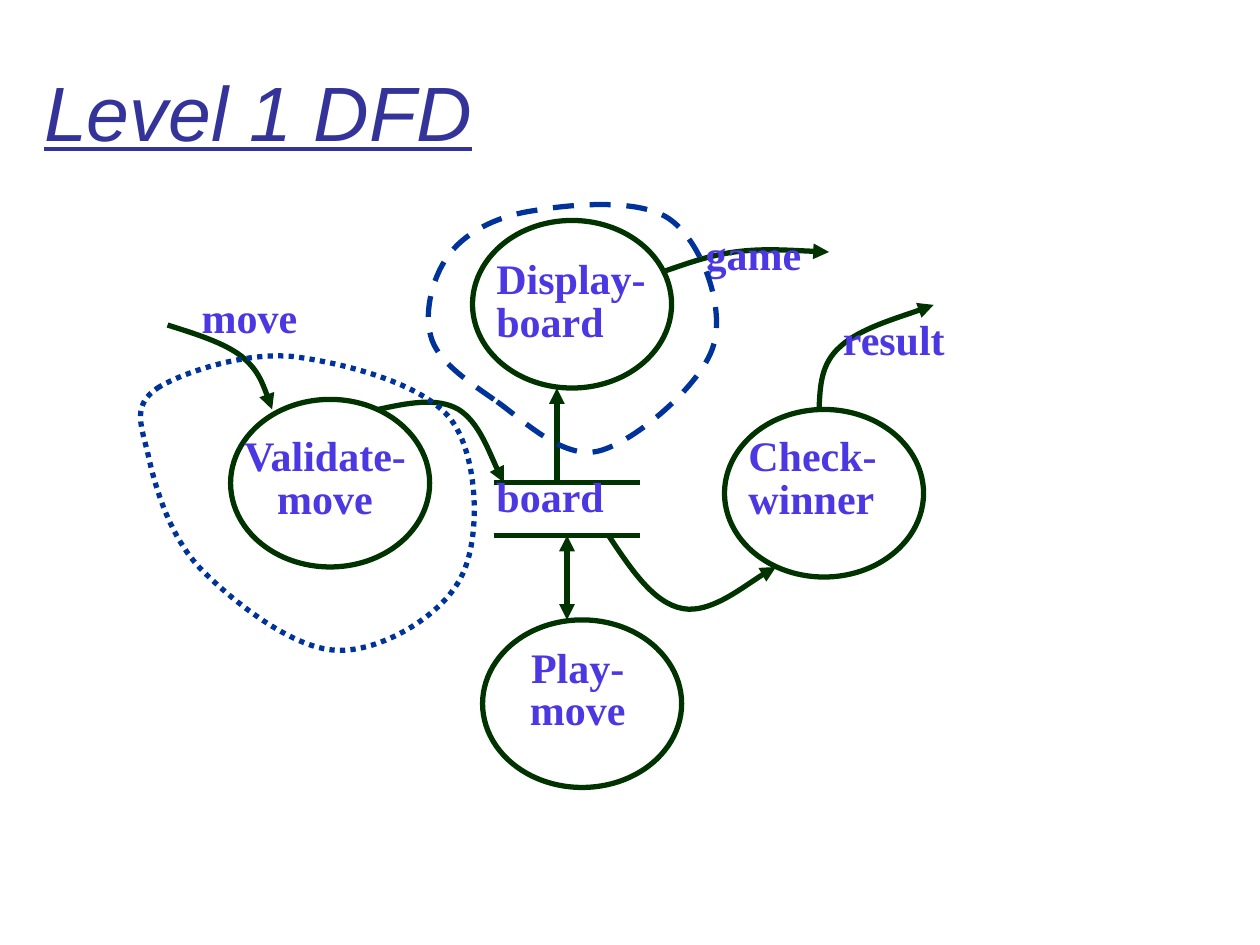
from dataclasses import dataclass

from lxml.etree import SubElement
from pptx import Presentation
from pptx.dml.color import RGBColor
from pptx.enum.dml import MSO_LINE
from pptx.enum.shapes import MSO_CONNECTOR, MSO_SHAPE
from pptx.enum.text import MSO_ANCHOR, MSO_AUTO_SIZE, PP_ALIGN
from pptx.oxml.ns import qn
from pptx.util import Inches, Pt


@dataclass(frozen=True)
class Theme:
    title: RGBColor = RGBColor(0x33, 0x33, 0x99)
    label: RGBColor = RGBColor(0x4C, 0x38, 0xE2)
    flow: RGBColor = RGBColor(0x00, 0x33, 0x00)
    boundary: RGBColor = RGBColor(0x00, 0x33, 0x99)
    title_font: str = "Arial"
    label_font: str = "Times New Roman"
    title_size: Pt = Pt(44)
    label_size: Pt = Pt(24)
    line_width: Pt = Pt(3)


theme = Theme()


def style_line(sp, color, dash=None, ends=()):
    """Set the outline of a shape, with triangles at the named ends and no shadow."""
    sp.line.color.rgb = color
    sp.line.width = theme.line_width
    if dash:
        sp.line.dash_style = dash
    ln = sp.line._get_or_add_ln()
    for end in ends:
        SubElement(ln, qn(f"a:{end}"), type="triangle", w="med", len="med")
    SubElement(sp._element.spPr, qn("a:effectLst"))


def add_curve(s, points, close=False):
    """Add a Bezier path: a start point, then three points for each segment."""
    pts = [(Inches(x), Inches(y)) for x, y in points]
    builder = s.shapes.build_freeform(*pts[0], scale=1.0)
    builder.add_line_segments(pts[1:], close=close)
    sp = builder.convert_to_shape()
    sp.fill.background()
    # Turn each run of three straight segments into one cubic segment.
    segments = list(sp._element.iter(qn("a:lnTo")))[:len(pts) - 1]
    for i in range(0, len(segments), 3):
        cubic = segments[i].makeelement(qn("a:cubicBezTo"))
        segments[i].addprevious(cubic)
        for segment in segments[i:i + 3]:
            cubic.append(segment[0])
            segment.getparent().remove(segment)
    return sp


prs = Presentation()
prs.slide_width, prs.slide_height = Inches(10), Inches(7.5)
s = prs.slides.add_slide(prs.slide_layouts[5])

# Title
title = s.shapes.title
title.left, title.top = Inches(0.33), Inches(0.25)
title.width, title.height = Inches(9), Inches(1.25)
tf = title.text_frame
tf.auto_size = MSO_AUTO_SIZE.NONE
tf.vertical_anchor = MSO_ANCHOR.MIDDLE
tf.margin_left = tf.margin_right = Inches(0.02)
p = tf.paragraphs[0]
p.alignment = PP_ALIGN.LEFT
r = p.add_run()
r.text = "Level 1 DFD"
r.font.name, r.font.size = theme.title_font, theme.title_size
r.font.italic = r.font.underline = True
r.font.color.rgb = theme.title

# Processes
for x, y in [(3.75, 1.75), (3.83, 4.92), (1.83, 3.17), (5.75, 3.25)]:
    process = s.shapes.add_shape(MSO_SHAPE.OVAL, Inches(x), Inches(y),
                                 Inches(1.58), Inches(1.33))
    process.fill.background()
    style_line(process, theme.flow)

# Data store bars and straight flows
straight_lines = [
    (3.92, 4.25, 5.08, 4.25, ()),
    (3.92, 3.83, 5.08, 3.83, ()),
    (4.42, 3.83, 4.42, 3.08, ("tailEnd",)),
    (4.5, 4.25, 4.5, 4.92, ("headEnd", "tailEnd")),
]
for x1, y1, x2, y2, ends in straight_lines:
    line = s.shapes.add_connector(MSO_CONNECTOR.STRAIGHT, Inches(x1), Inches(y1),
                                  Inches(x2), Inches(y2))
    style_line(line, theme.flow, ends=ends)

# Curved flows
curved_flows = [
    [(4.83, 4.25), (5.01, 4.52), (5.19, 4.79), (5.42, 4.83),
     (5.64, 4.87), (6.04, 4.55), (6.16, 4.5)],
    [(3, 3.25), (3.23, 3.2), (3.47, 3.15), (3.64, 3.25),
     (3.8, 3.35), (3.94, 3.73), (4, 3.83)],
    [(1.33, 2.58), (1.55, 2.65), (1.78, 2.72), (1.92, 2.83),
     (2.05, 2.94), (2.11, 3.1), (2.16, 3.25)],
    [(6.5, 3.25), (6.51, 3.07), (6.51, 2.89), (6.67, 2.75),
     (6.82, 2.61), (7.29, 2.47), (7.41, 2.42)],
    [(5.25, 2.16), (5.43, 2.1), (5.61, 2.03), (5.83, 2),
     (6.05, 1.97), (6.32, 1.99), (6.58, 2)],
]
for points in curved_flows:
    style_line(add_curve(s, points), theme.flow, ends=("tailEnd",))

# Labels
labels = [
    ("board", 3.92, 3.75, 1.08, 0.5, PP_ALIGN.LEFT),
    ("Display-board", 3.92, 2.02, 1.33, 0.9, PP_ALIGN.LEFT),
    ("Check-winner", 5.92, 3.42, 1.33, 0.9, PP_ALIGN.LEFT),
    ("Validate-move", 1.83, 3.42, 1.5, 0.9, PP_ALIGN.CENTER),
    ("Play-move", 3.92, 5.1, 1.33, 0.9, PP_ALIGN.CENTER),
    ("move", 1.58, 2.33, 1.16, 0.5, PP_ALIGN.LEFT),
    ("result", 6.67, 2.5, 1.16, 0.5, PP_ALIGN.LEFT),
    ("game", 5.58, 1.83, 1.5, 0.5, PP_ALIGN.LEFT),
]
for text, x, y, w, h, align in labels:
    box = s.shapes.add_textbox(Inches(x), Inches(y), Inches(w), Inches(h))
    tf = box.text_frame
    tf.word_wrap = True
    tf.margin_left = tf.margin_right = Inches(0.02)
    p = tf.paragraphs[0]
    p.alignment = align
    p.line_spacing = 0.85
    r = p.add_run()
    r.text = text
    r.font.name, r.font.size = theme.label_font, theme.label_size
    r.font.bold = True
    r.font.color.rgb = theme.label

# Boundaries around processes
boundaries = [
    (MSO_LINE.ROUND_DOT,
     [(1.25, 3.08), (1.44, 2.96), (1.94, 2.79), (2.33, 2.83),
      (2.72, 2.88), (3.36, 3.04), (3.58, 3.33),
      (3.8, 3.62), (3.82, 4.28), (3.66, 4.58),
      (3.51, 4.89), (3.01, 5.18), (2.67, 5.16),
      (2.32, 5.15), (1.83, 4.76), (1.58, 4.5),
      (1.33, 4.23), (1.22, 3.82), (1.17, 3.58),
      (1.11, 3.35), (1.06, 3.21), (1.25, 3.08)]),
    (MSO_LINE.DASH,
     [(3.92, 3.17), (3.69, 3.01), (3.47, 2.86), (3.42, 2.67),
      (3.36, 2.47), (3.44, 2.17), (3.58, 2),
      (3.72, 1.83), (3.96, 1.71), (4.25, 1.67),
      (4.54, 1.62), (5.1, 1.57), (5.33, 1.75),
      (5.57, 1.93), (5.76, 2.44), (5.66, 2.75),
      (5.57, 3.05), (5.04, 3.51), (4.75, 3.58),
      (4.46, 3.65), (4.14, 3.32), (3.92, 3.17)]),
]
for dash, points in boundaries:
    style_line(add_curve(s, points, close=True), theme.boundary, dash)

prs.save("out.pptx")
